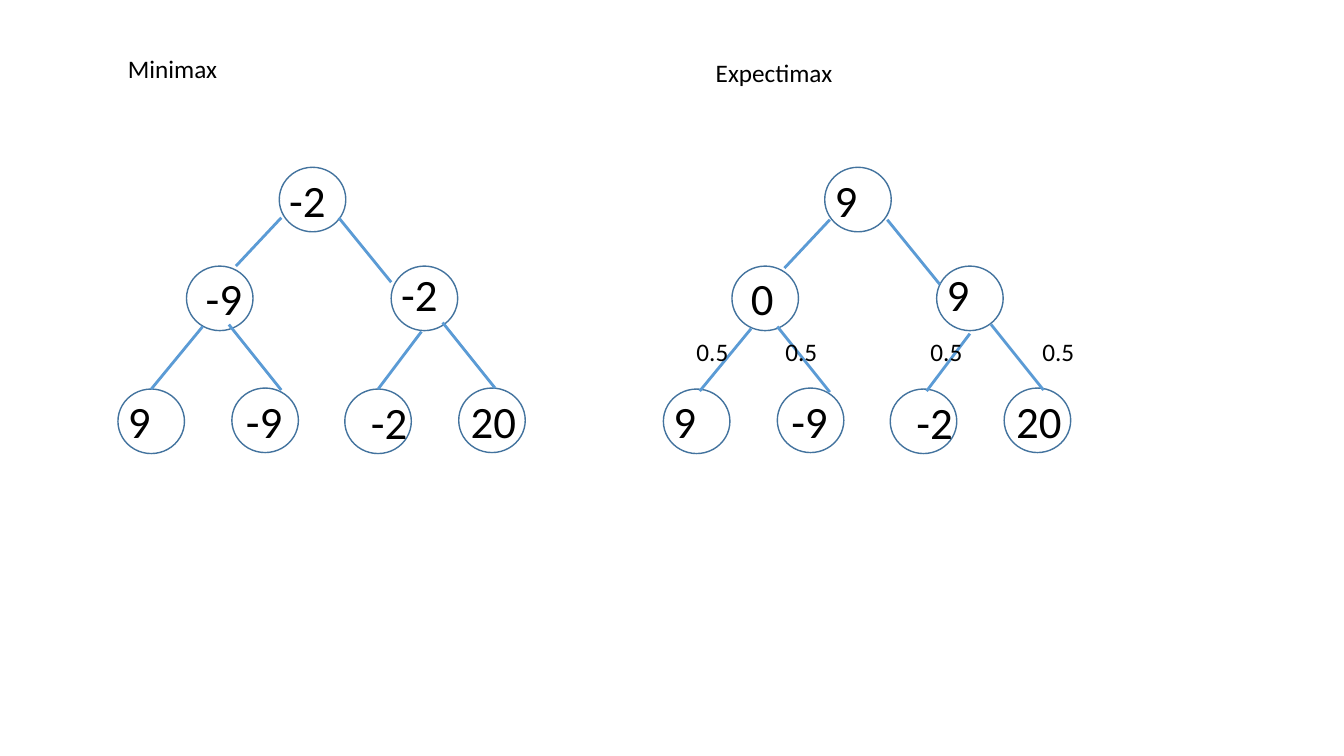
from lxml import etree
from pptx import Presentation
from pptx import util as u
from pptx.dml.color import RGBColor
from pptx.enum import shapes, text
from pptx.oxml.ns import qn

NODE_W, NODE_H = 0.66, 0.64
NODES = [
    (1.6, 0, 0, 0, 1.12),
    (0.68, 0.98, 0.09, 0, 1.12),
    (2.71, 0.98, 0, -0.04, 1.12),
    (0, 2.2, 0, 0, 0.47),
    (1.13, 2.19, 0.04, 0.01, 0.77),
    (2.25, 2.2, 0.16, 0.01, 0.77),
    (3.38, 2.19, 0.02, 0.01, 0.77),
]
EDGES = [
    (1.62, 0.5, 1.17, 0.98),
    (2.19, 0.5, 2.71, 1.14),
    (0.84, 1.58, 0.33, 2.2),
    (1.1, 1.56, 1.62, 2.21),
    (3.01, 1.63, 2.58, 2.2),
    (3.22, 1.54, 3.74, 2.19),
]


def rgb(color):
    """Turn a hex string into a colour."""
    return RGBColor.from_string(color)


def add_text(parent, content, left, top, width, height, size):
    """Add a one-line black text box."""
    sp = parent.shapes.add_textbox(*map(u.Inches, (left, top, width, height)))
    tf = sp.text_frame
    tf.word_wrap = True
    tf.auto_size = text.MSO_AUTO_SIZE.SHAPE_TO_FIT_TEXT
    p = tf.paragraphs[0]
    p.text = content
    p.font.name, p.font.size = "Calibri", u.Pt(size)
    p.font.color.rgb = rgb("000000")


def add_nodes(s, left, top, values):
    """Draw the seven tree circles and their values as a group."""
    group = s.shapes.add_group_shape()
    for x, y, *_ in NODES:
        box = map(u.Inches, (left + x, top + y, NODE_W, NODE_H))
        sp = group.shapes.add_shape(shapes.MSO_SHAPE.OVAL, *box)
        sp.shadow.inherit = False
        sp.fill.background()
        sp.line.color.rgb = rgb("43739E")
        sp.line.width = u.Pt(1)
    for (x, y, dx, dy, width), value in zip(NODES, values):
        add_text(group, value, left + x + dx, top + y + dy, width, NODE_H, 32)


def add_edges(s, left, top):
    """Draw the six tree branches as a group."""
    group = s.shapes.add_group_shape()
    for x1, y1, x2, y2 in EDGES:
        ends = map(u.Inches, (left + x1, top + y1, left + x2, top + y2))
        line = group.shapes.add_connector(shapes.MSO_CONNECTOR.STRAIGHT, *ends)
        line.line.color.rgb = rgb("5B9BD5")
        line.line.width = u.Pt(2)
        etree.SubElement(line._element.spPr, qn("a:effectLst"))


def add_probabilities(s, left, top):
    """Label the lower branches with their chances."""
    for x in (0, 0.88, 2.32, 3.43):
        add_text(s, "0.5", left + x, top, 0.6, 0.4, 18)


def main():
    """Build and save the slide."""
    prs = Presentation()
    prs.slide_width, prs.slide_height = u.Inches(13.33), u.Inches(7.5)
    s = prs.slides.add_slide(prs.slide_layouts[6])

    add_text(s, "Minimax", 1.17, 0.48, 2.71, 0.4, 18)
    add_nodes(s, 1.17, 1.66, ["-2", "-9", "-2", "9", "-9", "-2", "20"])
    add_edges(s, 1.17, 1.66)

    add_text(s, "Expectimax", 7, 0.52, 2.71, 0.4, 18)
    add_nodes(s, 6.58, 1.66, ["9", "0", "9", "9", "-9", "-2", "20"])
    add_edges(s, 6.61, 1.68)
    add_probabilities(s, 6.81, 3.29)

    prs.save("out.pptx")


main()
